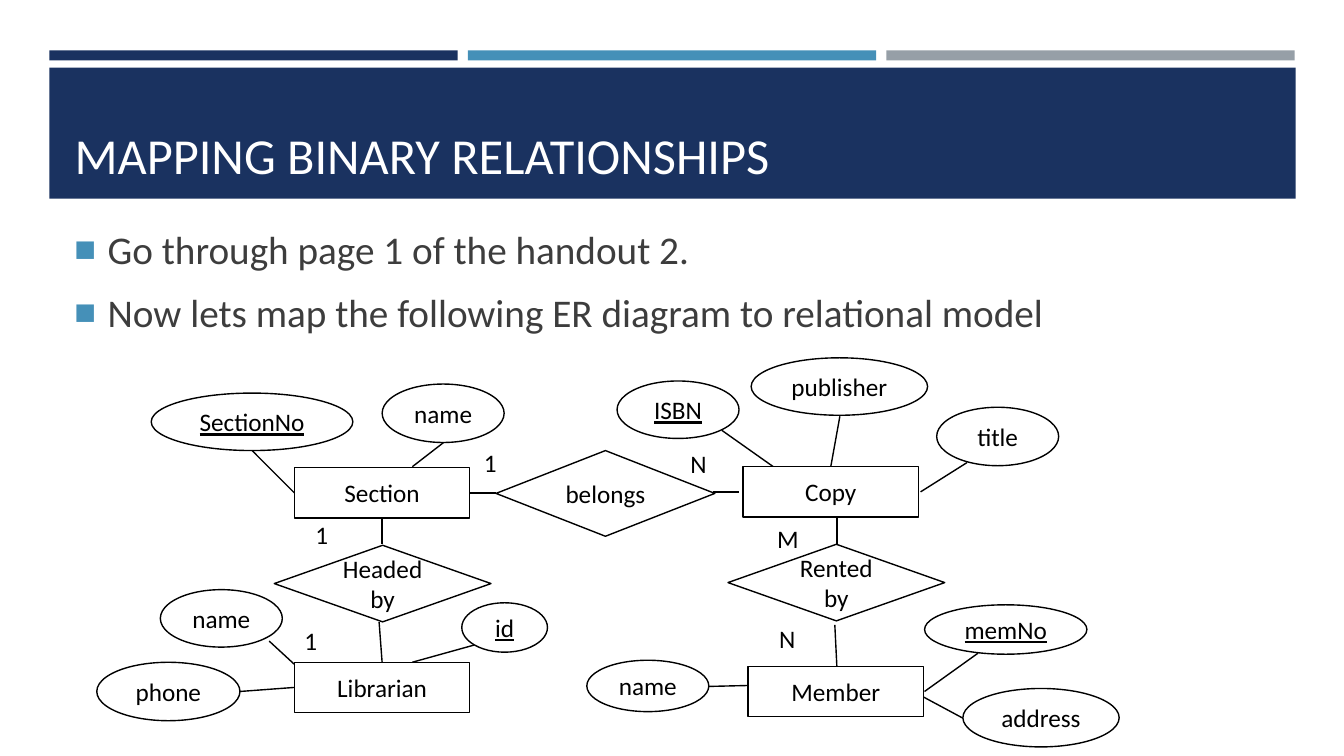
import pptx
import pptx.dml.color
import pptx.enum.shapes
import pptx.enum.text
import pptx.oxml.ns
import pptx.util
from lxml import etree
from pptx.util import Inches

FONT = "Calibri"
NAVY, BLUE, GRAY = "1A3260", "4590B8", "969FA7"
BLACK, WHITE, DARK = "000000", "FFFFFF", "3D3D3D"
SHAPES = pptx.enum.shapes.MSO_SHAPE
ALIGN = pptx.enum.text.PP_ALIGN
ANCHOR = pptx.enum.text.MSO_ANCHOR

ENTITIES = [
    ("Section", 2.42, 1.14),
    ("Librarian", 2.42, 3.07),
    ("Member", 6.92, 3.11),
    ("Copy", 6.87, 1.13),
]
RELATIONSHIPS = [
    ("belongs", 4.42, 0.97, 2.17, 0.85),
    ("Headed by", 2.22, 1.91, 2.15, 0.76),
    ("Rented by", 6.72, 1.9, 2.15, 0.76),
]
ATTRIBUTES = [
    ("SectionNo", 1, 0.4, 2, 0.57),
    ("name", 3.29, 0.31, 1.21, 0.58),
    ("ISBN", 5.62, 0.28, 1.21, 0.57),
    ("title", 8.79, 0.54, 1.21, 0.58),
    ("publisher", 6.95, 0.05, 1.75, 0.57),
    ("name", 1.09, 2.35, 1.21, 0.57),
    ("id", 4.08, 2.48, 0.85, 0.49),
    ("phone", 0.46, 3.07, 1.42, 0.58),
    ("name", 5.32, 3.05, 1.21, 0.51),
    ("memNo", 8.67, 2.5, 1.61, 0.49),
    ("address", 9.05, 3.33, 1.55, 0.58),
]
KEYS = {"SectionNo", "ISBN", "id", "memNo"}
LINKS = [
    (4.16, 1.39, 4.42, 1.39),
    (6.57, 1.38, 6.83, 1.38),
    (7.8, 1.63, 7.8, 1.9),
    (7.78, 2.7, 7.8, 3.11),
    (3.29, 1.63, 3.29, 1.9),
    (3.26, 2.67, 3.29, 3.07),
    (4.2, 2.9, 3.59, 3.07),
    (1.88, 3.36, 2.42, 3.32),
    (2.17, 2.86, 2.43, 3.1),
    (3.9, 0.89, 3.59, 1.13),
    (2, 0.97, 2.42, 1.39),
    (6.66, 0.77, 7.17, 1.13),
    (7.83, 0.63, 7.74, 1.13),
    (9.09, 1.09, 8.63, 1.38),
    (9.2, 2.98, 8.67, 3.36),
    (8.65, 3.41, 9.06, 3.63),
    (6.53, 3.31, 6.94, 3.3),
]
CARDINALITIES = [
    ("1", 2.53, 1.6),
    ("1", 2.42, 2.65),
    ("M", 7.11, 1.64),
    ("N", 7.13, 2.63),
    ("1", 4.2, 0.89),
    ("N", 6.25, 0.9),
]


def color(value):
    """Return the colour for a hex string."""
    return pptx.dml.color.RGBColor.from_string(value)


def write(paragraph, text, size=18, fill=BLACK, align=ALIGN.LEFT, underline=None):
    """Write formatted text into a paragraph."""
    paragraph.alignment = align
    run = paragraph.add_run()
    run.text = text
    run.font.name = FONT
    run.font.size = pptx.util.Pt(size)
    run.font.color.rgb = color(fill)
    run.font.underline = underline


def add_block(slide, preset, left, top, width, height, fill, line=None):
    """Add a filled preset shape with an optional outline."""
    shape = slide.shapes.add_shape(
        preset, Inches(left), Inches(top), Inches(width), Inches(height))
    shape.shadow.inherit = False
    shape.fill.solid()
    shape.fill.fore_color.rgb = color(fill)
    if line:
        shape.line.color.rgb = color(line)
        shape.line.width = pptx.util.Pt(1)
    else:
        shape.line.fill.background()
    return shape


def add_text_box(slide, left, top, width, height):
    """Add a wrapping text box and return its text frame."""
    box = slide.shapes.add_textbox(
        Inches(left), Inches(top), Inches(width), Inches(height))
    box.text_frame.word_wrap = True
    return box.text_frame


def add_node(slide, preset, text, left, top, width, height):
    """Add a labelled node of the diagram."""
    shape = add_block(slide, preset, left, top, width, height, WHITE, BLACK)
    frame = shape.text_frame
    frame.word_wrap = True
    frame.vertical_anchor = ANCHOR.MIDDLE
    write(frame.paragraphs[0], text, align=ALIGN.CENTER,
          underline=True if text in KEYS else None)


def add_link(slide, x1, y1, x2, y2):
    """Add a thin black line between two points."""
    connector = slide.shapes.add_connector(
        pptx.enum.shapes.MSO_CONNECTOR.STRAIGHT,
        Inches(x1), Inches(y1), Inches(x2), Inches(y2))
    connector.line.color.rgb = color(BLACK)
    connector.line.width = pptx.util.Pt(1)
    properties = connector._element.spPr
    etree.SubElement(properties, pptx.oxml.ns.qn("a:effectLst"))


def add_bullet(paragraph):
    """Give a paragraph a hanging blue square bullet."""
    properties = paragraph._p.get_or_add_pPr()
    properties.set("marL", str(Inches(0.33)))
    properties.set("indent", str(Inches(-0.33)))
    qn = pptx.oxml.ns.qn
    bullet_color = etree.SubElement(properties, qn("a:buClr"))
    etree.SubElement(bullet_color, qn("a:srgbClr"), val=BLUE)
    etree.SubElement(properties, qn("a:buSzPct"), val="92000")
    etree.SubElement(properties, qn("a:buFont"), typeface="Arial")
    etree.SubElement(properties, qn("a:buChar"), char="■")


def add_header(slide, left, top, width, text):
    """Add the three stripes, the banner and the title."""
    for index, fill in enumerate((NAVY, BLUE, GRAY)):
        add_block(slide, SHAPES.RECTANGLE, left + 4.15 * index, top, 4.05, 0.1, fill)
    add_block(slide, SHAPES.RECTANGLE, left, top + 0.17, width, 1.3, NAVY)
    title = slide.shapes.title
    title.left, title.top = Inches(left + 0.15), Inches(top + 0.27)
    title.width, title.height = Inches(width - 0.3), Inches(1.11)
    slide.shapes._spTree.append(title._element)
    title.text_frame.vertical_anchor = ANCHOR.BOTTOM
    write(title.text_frame.paragraphs[0], text, size=36, fill=WHITE)


def add_bullets(slide, left, top, width, height, lines):
    """Add the bulleted introduction."""
    frame = add_text_box(slide, left, top, width, height)
    for index, text in enumerate(lines):
        paragraph = frame.add_paragraph() if index else frame.paragraphs[0]
        add_bullet(paragraph)
        paragraph.space_before = pptx.util.Pt(5 if index else 0)
        paragraph.space_after = pptx.util.Pt(6)
        write(paragraph, text, size=28, fill=DARK)


def add_diagram(slide, left, top):
    """Add the entity-relationship diagram."""
    for x1, y1, x2, y2 in LINKS:
        add_link(slide, left + x1, top + y1, left + x2, top + y2)
    for text, x, y in ENTITIES:
        add_node(slide, SHAPES.RECTANGLE, text, left + x, top + y, 1.74, 0.5)
    for preset, nodes in ((SHAPES.DIAMOND, RELATIONSHIPS), (SHAPES.OVAL, ATTRIBUTES)):
        for text, x, y, width, height in nodes:
            add_node(slide, preset, text, left + x, top + y, width, height)
    for text, x, y in CARDINALITIES:
        frame = add_text_box(slide, left + x, top + y, 1, 0.4)
        write(frame.paragraphs[0], text)


def main():
    """Build and save the presentation."""
    presentation = pptx.Presentation()
    presentation.slide_width = Inches(13.33)
    presentation.slide_height = Inches(7.5)
    slide = presentation.slides.add_slide(presentation.slide_layouts[5])
    add_header(slide, 0.49, 0.5, 12.36, "MAPPING BINARY RELATIONSHIPS")
    add_bullets(slide, 0.64, 2.19, 12.06, 1.2, [
        "Go through page 1 of the handout 2.",
        "Now lets map the following ER diagram to relational model",
    ])
    add_diagram(slide, 0.5, 3.5)
    presentation.save("out.pptx")


if __name__ == "__main__":
    main()
